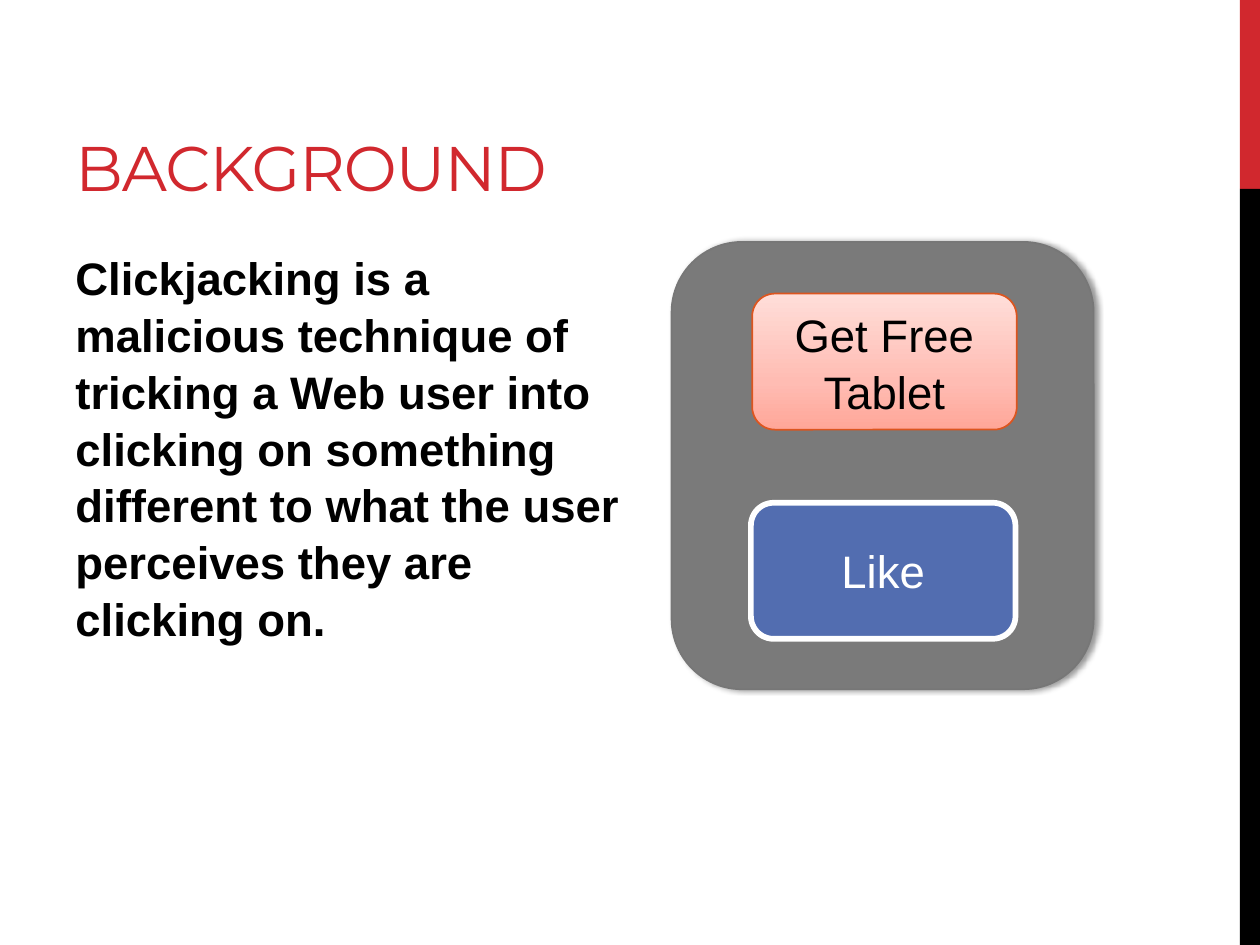
from copy import deepcopy
from dataclasses import dataclass

from lxml import etree
from pptx import Presentation
from pptx.dml.color import RGBColor
from pptx.enum.shapes import MSO_SHAPE
from pptx.enum.text import MSO_ANCHOR, PP_ALIGN
from pptx.oxml.ns import qn
from pptx.util import Inches, Pt

RECT = MSO_SHAPE.RECTANGLE
ROUND = MSO_SHAPE.ROUNDED_RECTANGLE
TOP, MIDDLE, BOTTOM = MSO_ANCHOR.TOP, MSO_ANCHOR.MIDDLE, MSO_ANCHOR.BOTTOM
LEFT, CENTER = PP_ALIGN.LEFT, PP_ALIGN.CENTER


@dataclass(frozen=True)
class Theme:
    """Colours, fonts and type sizes of the slide."""
    red: str = "D1282E"
    black: str = "000000"
    white: str = "FFFFFF"
    panel: str = "7A7A7A"
    edge: str = "777777"
    blue: str = "526DB0"
    orange: str = "DC551F"
    blush: tuple = ((0, "FFA698"), (0.35, "FFBCB3"), (1, "FFDED9"))
    head: str = "Montserrat"
    body: str = "Arial"
    title: int = 36
    text: int = 26
    lead: float = 1.04


THEME = Theme()


def rgb(code):
    """Turn a hex code into a colour."""
    return RGBColor.from_string(code)


def write(shape, text, color, size=THEME.text, face=THEME.body,
          bold=False, anchor=MIDDLE, align=CENTER):
    """Put one run of text in a shape and return its run."""
    frame = shape.text_frame
    frame.word_wrap = True
    frame.vertical_anchor = anchor
    par = frame.paragraphs[0]
    par.alignment = align
    run = par.add_run()
    run.text = text
    font = run.font
    font.name, font.size, font.bold = face, Pt(size), bold
    font.color.rgb = rgb(color)
    return run


def add_box(slide, kind, area, fill, line=None, width=1):
    """Add a filled preset shape without a shadow."""
    shape = slide.shapes.add_shape(kind, *map(Inches, area))
    shape.shadow.inherit = False
    shape.fill.solid()
    shape.fill.fore_color.rgb = rgb(fill)
    if line:
        shape.line.color.rgb = rgb(line)
        shape.line.width = Pt(width)
    else:
        shape.line.fill.background()
    return shape


def add_text(slide, area, text, color, **style):
    """Add a text box and return its run and its paragraph."""
    box = slide.shapes.add_textbox(*map(Inches, area))
    run = write(box, text, color, align=LEFT, **style)
    return run, box.text_frame.paragraphs[0]


def blend(shape, stops):
    """Fill a shape with a gradient that rises from its base."""
    shape.fill.gradient()
    shape.fill.gradient_angle = 90
    group = shape._element.spPr.find(qn("a:gradFill")).find(qn("a:gsLst"))
    group.insert(1, deepcopy(group[0]))
    for stop, (place, code) in zip(shape.fill.gradient_stops, stops):
        stop.position = place
        stop.color.rgb = rgb(code)


def cast(shape, color, blur, dist, alpha):
    """Give a shape a soft shadow to its right."""
    group = shape._element.spPr.find(qn("a:effectLst"))
    outer = etree.SubElement(group, qn("a:outerShdw"), blurRad=str(Pt(blur)),
                             dist=str(Pt(dist)), dir="0", rotWithShape="0")
    tone = etree.SubElement(outer, qn("a:srgbClr"), val=color)
    etree.SubElement(tone, qn("a:alpha"), val=str(alpha * 1000))


def add_copy(slide):
    """Add the title and the definition."""
    run, _ = add_text(slide, (0.5, 0.17, 6.33, 1.5), "BACKGROUND", THEME.red,
                      size=THEME.title, face=THEME.head, anchor=BOTTOM)
    run.font._element.set("spc", "-60")
    _, par = add_text(
        slide, (0.5, 1.92, 4.71, 4.78),
        "Clickjacking is a malicious technique of tricking a Web user into "
        "clicking on something different to what the user perceives they "
        "are clicking on.", THEME.black, bold=True, anchor=TOP)
    par.line_spacing = THEME.lead
    par.space_after = Pt(6)


def add_panel(slide):
    """Add the grey panel with its two buttons."""
    panel = add_box(slide, ROUND, (5.33, 1.92, 3.35, 3.55),
                    THEME.panel, THEME.edge)
    cast(panel, THEME.black, 3.1, 1.8, 40)
    bait = add_box(slide, ROUND, (5.97, 2.33, 2.1, 1.08),
                   THEME.white, THEME.orange)
    blend(bait, THEME.blush)
    write(bait, "Get Free Tablet", THEME.black)
    bait.text_frame.paragraphs[0].line_spacing = THEME.lead
    like = add_box(slide, ROUND, (5.96, 3.99, 2.1, 1.08),
                   THEME.blue, THEME.white, 3.25)
    write(like, "Like", THEME.white)


def main():
    """Build the slide and save it."""
    deck = Presentation()
    deck.slide_width, deck.slide_height = Inches(10), Inches(7.5)
    slide = deck.slides.add_slide(deck.slide_layouts[6])
    for top, height, color in ((0, 1.5, THEME.red), (1.5, 6, THEME.black)):
        add_box(slide, RECT, (9.84, top, 0.16, height), color)
    add_copy(slide)
    add_panel(slide)
    deck.save("out.pptx")


main()
